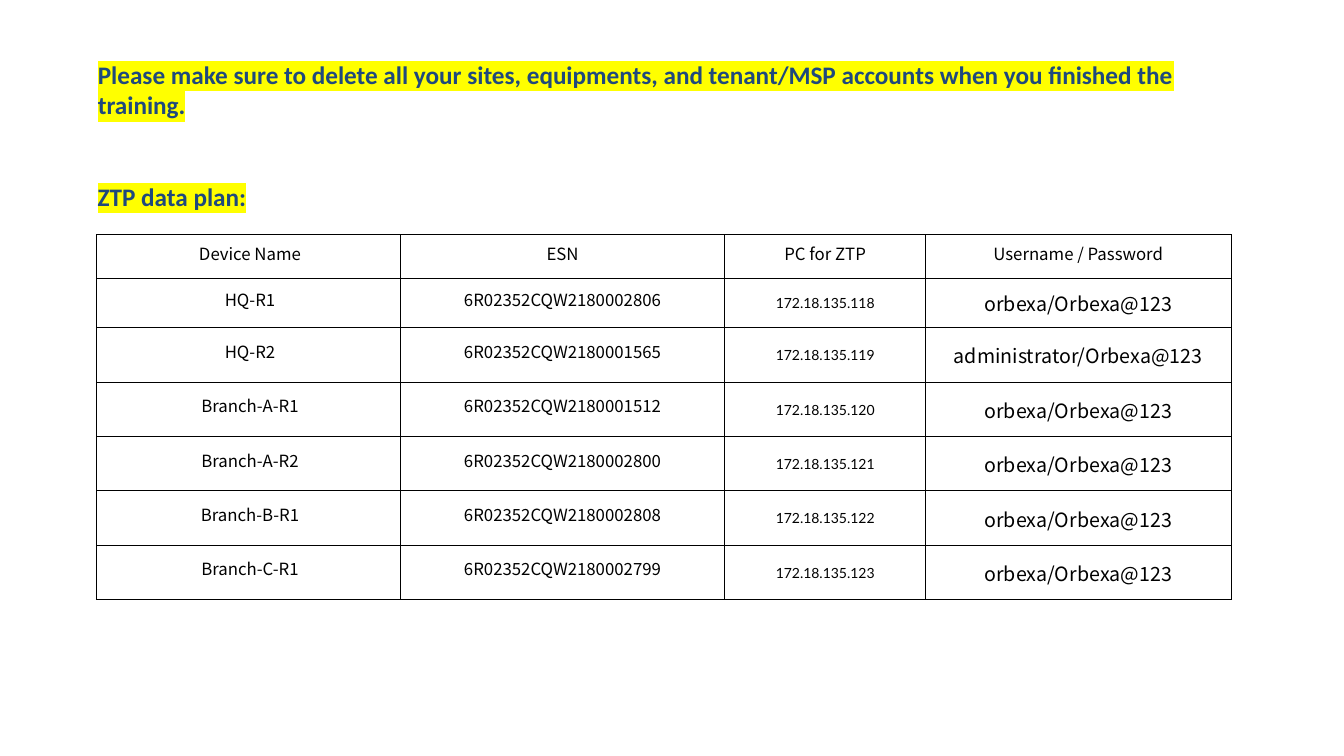
from lxml.etree import SubElement, fromstring
from pptx import Presentation
from pptx.dml.color import RGBColor as RGB
from pptx.enum.text import MSO_ANCHOR as Anchor, MSO_AUTO_SIZE as AutoSize, PP_ALIGN as Align
from pptx.oxml.ns import nsdecls, qn
from pptx.util import Inches, Pt

THEME = {
    "heading": {"name": "Calibri", "size": Pt(18), "bold": True},
    "heading_color": RGB.from_string("1F497D"),
    "highlight": "FFFF00",
    "ink": RGB.from_string("000000"),
    "label": {"name": "Noto Sans CJK SC", "size": Pt(12)},
    "address": {"name": "Lato", "size": Pt(10)},
    "login": {"name": "Noto Sans CJK SC", "size": Pt(14)},
    "border": Pt(0.75),
    "login_border": Pt(1.25),
}
LABEL_MARGINS = {"margin_left": Inches(0.07), "margin_right": Inches(0.07),
                 "margin_top": 0, "margin_bottom": 0}
VALUE_MARGINS = {"margin_left": Inches(0.01), "margin_right": Inches(0.01),
                 "margin_top": Inches(0.01), "margin_bottom": 0}
LABEL_SPACING = {"line_spacing": Pt(12), "space_before": Pt(4), "space_after": Pt(4)}


def apply(target, formats):
    for attribute, value in formats.items():
        setattr(target, attribute, value)


def write_heading(shape, wording, box, wraps):
    """Place a heading and set its bold text on a highlighted ground."""
    apply(shape, dict(zip(("left", "top", "width", "height"), map(Inches, box))))
    frame = shape.text_frame
    apply(frame, {"word_wrap": wraps, "auto_size": AutoSize.SHAPE_TO_FIT_TEXT,
                  "vertical_anchor": Anchor.TOP})
    line = frame.paragraphs[0]
    line.alignment = Align.LEFT
    run = line.add_run()
    run.text = wording
    apply(run.font, THEME["heading"])
    run.font.color.rgb = THEME["heading_color"]
    run._r.rPr.find(qn("a:solidFill")).addnext(fromstring(
        f'<a:highlight {nsdecls("a")}><a:srgbClr val="{THEME["highlight"]}"/></a:highlight>'))


deck = Presentation()
deck.slide_width, deck.slide_height = Inches(13.33), Inches(7.5)
slide = deck.slides.add_slide(deck.slide_layouts[5])

# Device table
header = ("Device Name", "ESN", "PC for ZTP", "Username / Password")
devices = (
    ("HQ-R1", "2806"),
    ("HQ-R2", "1565"),
    ("Branch-A-R1", "1512"),
    ("Branch-A-R2", "2800"),
    ("Branch-B-R1", "2808"),
    ("Branch-C-R1", "2799"),
)
plan = [header]
for number, (device, serial) in enumerate(devices):
    user = "administrator" if device == "HQ-R2" else "orbexa"
    plan.append((device, f"6R02352CQW218000{serial}",
                 f"172.18.135.{118 + number}", f"{user}/Orbexa@123"))

column_widths = (3.01, 3.22, 1.99, 3.03)
row_heights = (0.43, 0.49) + (0.54,) * 5
table = slide.shapes.add_table(
    len(plan), len(header), Inches(0.96), Inches(2.33),
    Inches(sum(column_widths)), Inches(sum(row_heights))).table
apply(table, {"first_row": False, "horz_banding": False})
for column, width in zip(table.columns, column_widths):
    column.width = Inches(width)
for row, height in zip(table.rows, row_heights):
    row.height = Inches(height)

for row, entries in enumerate(plan):
    for column, entry in enumerate(entries):
        cell = table.cell(row, column)
        is_label = row == 0 or column < 2
        role = "label" if is_label else ("address", "login")[column - 2]
        apply(cell, LABEL_MARGINS if is_label else VALUE_MARGINS)
        cell.vertical_anchor = Anchor.MIDDLE

        line = cell.text_frame.paragraphs[0]
        line.alignment = Align.CENTER
        if is_label:
            apply(line, LABEL_SPACING)
        if column == 0:
            line._p.get_or_add_pPr().set("indent", str(Inches(0.03)))
        run = line.add_run()
        run.text = entry
        apply(run.font, THEME[role])
        run.font.color.rgb = THEME["ink"]

        properties = cell._tc.get_or_add_tcPr()
        for side in "LRTB":
            beside_login = (column, side) in ((2, "R"), (3, "L"))
            weight = THEME["login_border" if beside_login else "border"]
            border = SubElement(properties, qn(f"a:ln{side}"), w=str(weight))
            ink = SubElement(border, qn("a:solidFill"))
            SubElement(ink, qn("a:srgbClr"), val=str(THEME["ink"]))
        cell.fill.background()

# Headings
write_heading(slide.shapes.add_textbox(0, 0, 0, 0), "ZTP data plan:",
              (0.87, 1.75, 1.69, 0.4), False)
write_heading(slide.shapes.title,
              "Please make sure to delete all your sites, equipments, and tenant/MSP "
              "accounts when you finished the training.",
              (0.87, 0.54, 11.34, 0.71), True)

deck.save("out.pptx")
